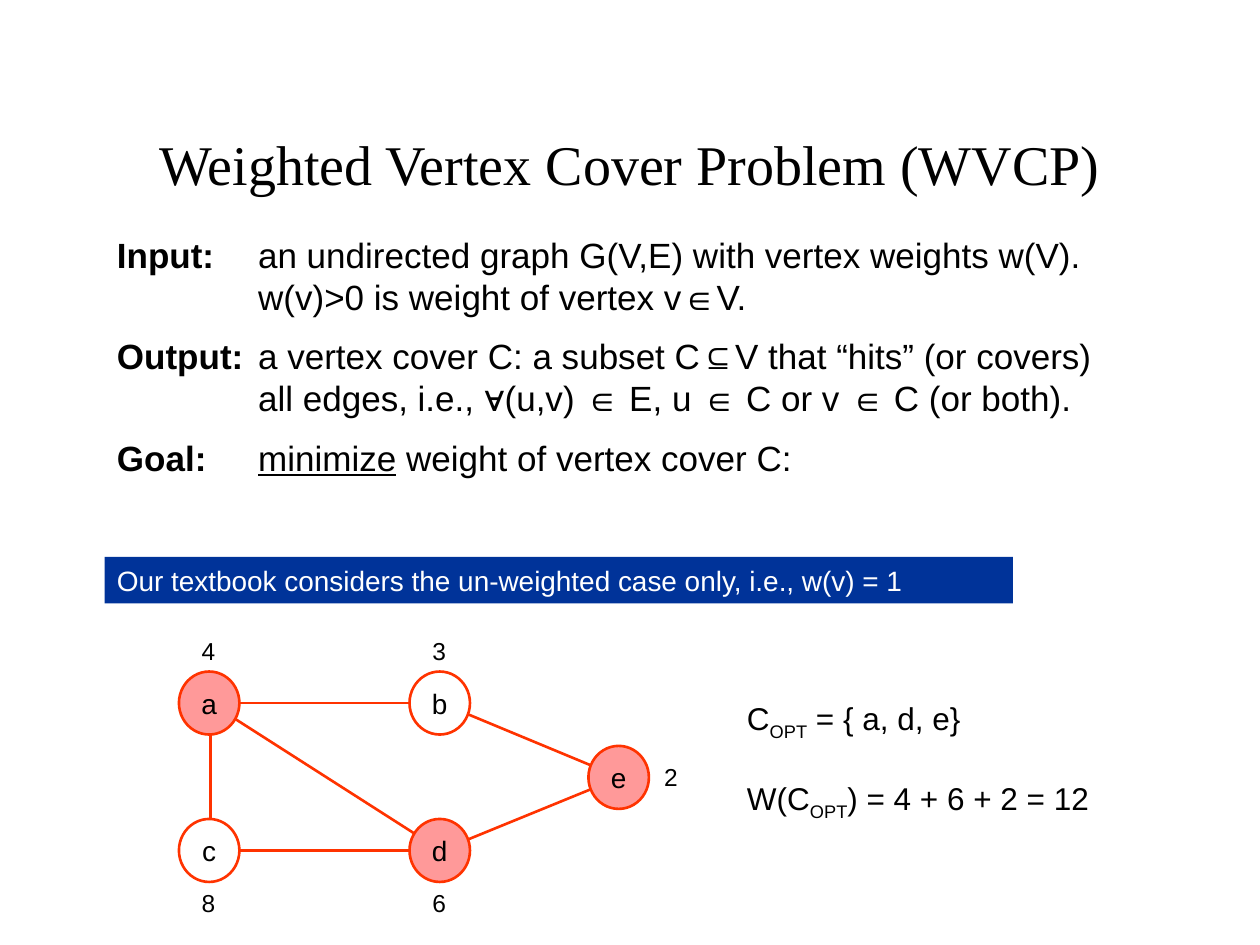
from lxml import etree
from pptx import Presentation
from pptx.dml.color import RGBColor
from pptx.enum import shapes, text
from pptx.oxml.ns import qn
from pptx.util import Inches, Pt

BLACK = RGBColor(0, 0, 0)
WHITE = RGBColor(255, 255, 255)
NAVY = RGBColor(0, 0x33, 0x99)
ORANGE = RGBColor(0xFF, 0x33, 0)
PINK = RGBColor(0xFF, 0x99, 0x99)

TITLE = {"name": "Times New Roman", "size": Pt(32)}
BODY = {"name": "Arial", "size": Pt(20)}
RESULT = {"name": "Arial", "size": Pt(18)}
LABEL = {"name": "Arial", "size": Pt(16)}
WEIGHT = {"name": "Arial", "size": Pt(14)}

BOLD = {"bold": True}
UNDERLINE = {"underline": True}
SUBSCRIPT = "-25000"
HANG = 1.12

PROBLEM = [
    [("Input:\t", BOLD),
     ("an undirected graph G(V,E) with vertex weights w(V).", {}),
     ("\n", {}),
     ("w(v)>0 is weight of vertex v∈V.", {})],
    [("Output:\t", BOLD),
     ("a vertex cover C: a subset C⊆V that “hits” (or covers)", {}),
     ("\n", {}),
     ("all edges, i.e., ∀(u,v) ∈ E, u ∈ C or v ∈ C (or both).", {})],
    [("Goal:\t", BOLD),
     ("minimize", UNDERLINE),
     (" weight of vertex cover C:", {})],
]

OPTIMUM = [
    [("C", None), ("OPT", SUBSCRIPT), (" = { a, d, e}", None)],
    [("W(C", None), ("OPT", SUBSCRIPT), (") = 4 + 6 + 2 = 12", None)],
]

COLUMNS = (0.25, 2.08, 3.5)
ROWS = (0.58, 1.17, 1.75)
ABOVE, BELOW, RIGHT = (-0.17, -0.58), (-0.17, 0.25), (0.25, -0.17)
NODES = {
    "a": (0, 0, PINK, "4", ABOVE),
    "b": (1, 0, WHITE, "3", ABOVE),
    "e": (2, 1, PINK, "2", RIGHT),
    "d": (1, 2, PINK, "6", BELOW),
    "c": (0, 2, WHITE, "8", BELOW),
}
EDGES = ("ab", "be", "ed", "ad", "cd", "ac")


def add_run(p, words, font, color=BLACK):
    r = p.add_run()
    r.text = words
    for key, value in font.items():
        setattr(r.font, key, value)
    r.font.color.rgb = color
    return r


def text_box(s, left, top, width, height):
    sp = s.shapes.add_textbox(Inches(left), Inches(top), Inches(width), Inches(height))
    sp.text_frame.word_wrap = True
    return sp.text_frame


def paragraphs(tf, count, gap):
    for i in range(count):
        p = tf.add_paragraph() if i else tf.paragraphs[0]
        if i:
            p.space_before = Pt(gap)
        yield p


def center_label(tf, words, font):
    layout = {"margin_left": 0, "margin_right": 0, "word_wrap": True,
              "vertical_anchor": text.MSO_ANCHOR.MIDDLE}
    for key, value in layout.items():
        setattr(tf, key, value)
    p = tf.paragraphs[0]
    p.alignment = text.PP_ALIGN.CENTER
    add_run(p, words, font)


def title(s, left, top, width, height):
    tf = text_box(s, left, top, width, height)
    center_label(tf, "Weighted Vertex Cover Problem (WVCP)", TITLE)


def problem_statement(s, left, top, width, height):
    tf = text_box(s, left, top, width, height)
    for p, runs in zip(paragraphs(tf, len(PROBLEM), 10), PROBLEM):
        pPr = p._p.get_or_add_pPr()
        pPr.set("marL", str(Inches(HANG)))
        pPr.set("indent", str(-Inches(HANG)))
        for words, style in runs:
            if words == "\n":
                p.add_line_break()
            else:
                add_run(p, words, {**BODY, **style})


def banner(s, left, top, width, height):
    sp = s.shapes.add_shape(shapes.MSO_SHAPE.RECTANGLE, Inches(left), Inches(top),
                            Inches(width), Inches(height))
    sp.shadow.inherit = False
    sp.fill.solid()
    sp.fill.fore_color.rgb = NAVY
    sp.line.fill.background()
    p = sp.text_frame.paragraphs[0]
    p.alignment = text.PP_ALIGN.LEFT
    add_run(p, "Our textbook considers the un-weighted case only, i.e., w(v) = 1",
            LABEL, WHITE)


def edge(s, start, end):
    cn = s.shapes.add_connector(shapes.MSO_CONNECTOR.STRAIGHT,
                                *(Inches(v) for v in (*start, *end)))
    cn.line.color.rgb = ORANGE
    cn.line.width = Pt(1.5)
    etree.SubElement(cn._element.spPr, qn("a:effectLst"))


def vertex(s, x, y, name, fill):
    sp = s.shapes.add_shape(shapes.MSO_SHAPE.OVAL, Inches(x - 0.25), Inches(y - 0.25),
                            Inches(0.48), Inches(0.5))
    sp.shadow.inherit = False
    sp.fill.solid()
    sp.fill.fore_color.rgb = fill
    sp.line.color.rgb = ORANGE
    sp.line.width = Pt(1.5)
    center_label(sp.text_frame, name, LABEL)


def graph(s, left, top):
    centers = {name: (left + COLUMNS[col], top + ROWS[row])
               for name, (col, row, *_) in NODES.items()}
    for start, end in EDGES:
        edge(s, centers[start], centers[end])
    for name, (_, _, fill, weight, (dx, dy)) in NODES.items():
        x, y = centers[name]
        vertex(s, x, y, name, fill)
        center_label(text_box(s, x + dx, y + dy, 0.31, 0.33), weight, WEIGHT)


def optimum(s, left, top, width, height):
    tf = text_box(s, left, top, width, height)
    for p, runs in zip(paragraphs(tf, len(OPTIMUM), 21), OPTIMUM):
        for words, baseline in runs:
            r = add_run(p, words, RESULT)
            if baseline:
                r._r.get_or_add_rPr().set("baseline", baseline)


def main():
    prs = Presentation()
    prs.slide_width, prs.slide_height = Inches(10), Inches(7.5)
    s = prs.slides.add_slide(prs.slide_layouts[6])
    title(s, 0.75, 0.67, 8.5, 1.25)
    problem_statement(s, 0.83, 1.8, 8.75, 2.62)
    graph(s, 1.42, 5)
    optimum(s, 5.83, 5.5, 2.96, 1)
    banner(s, 0.83, 4.42, 7.21, 0.37)
    prs.save("out.pptx")


if __name__ == "__main__":
    main()
